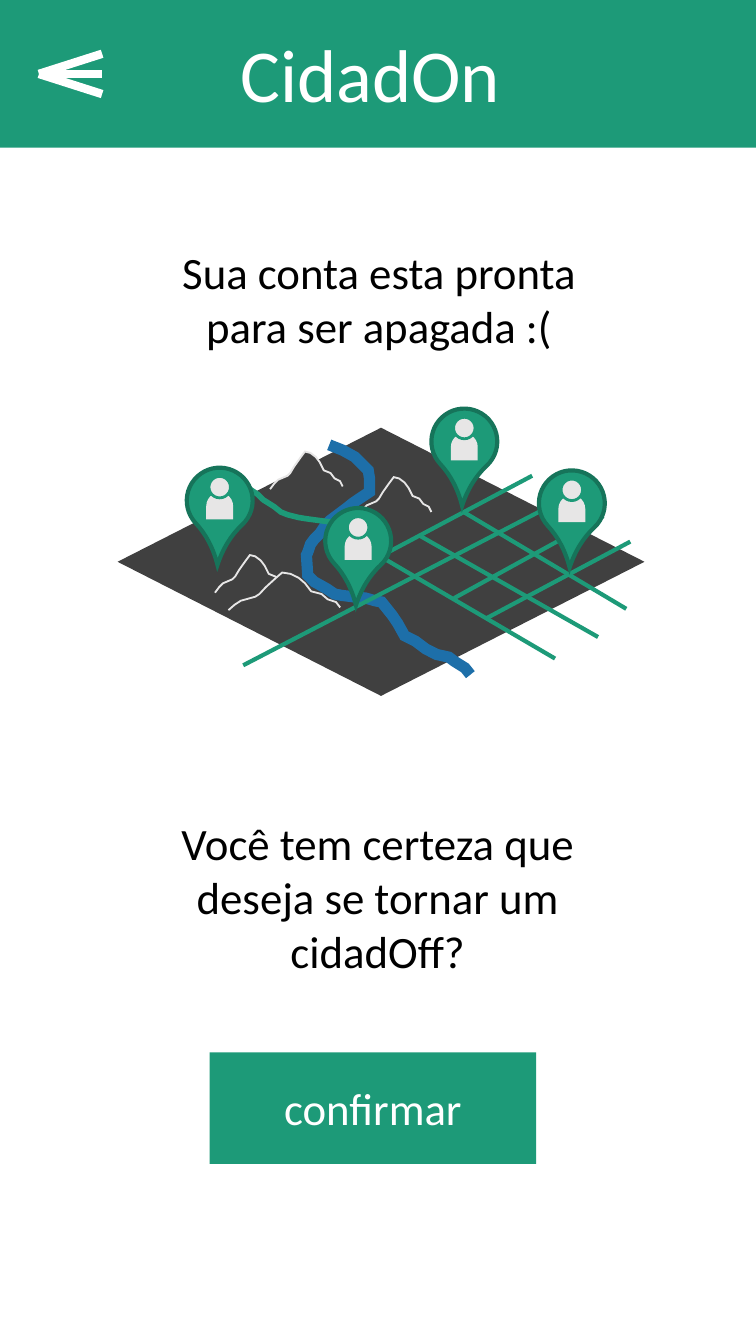
from dataclasses import dataclass

from lxml import etree
from pptx import Presentation
from pptx import util as u
from pptx.dml.color import RGBColor
from pptx.enum import shapes, text
from pptx.oxml import ns

COLUMNS, ROWS = 56.25, 100  # square grid cells
CELL = u.Inches(0.1)


@dataclass(frozen=True)
class Theme:
    green: str = "1D9A78"
    dark_green: str = "16745A"
    ground: str = "404040"
    river: str = "1D6FA9"
    pale: str = "E7E6E6"
    white: str = "FFFFFF"
    black: str = "000000"
    font: str = "Calibri"
    title_size: int = 40
    body_size: int = 24


THEME = Theme()
KIND = shapes.MSO_SHAPE
CENTER = text.PP_ALIGN.CENTER

STREETS = [
    ((28.3, 41.4), (41.3, 49)), ((31.3, 39.9), (44.5, 47.4)),
    ((34.5, 38.1), (46.6, 45.3)), ((44.9, 38.4), (33.8, 44.5)),
    ((42, 37.1), (18.1, 49.5)), ((46.9, 40.3), (36.2, 46)),
    ((39.6, 35.4), (28.3, 41.4)),
]
RIVER = [
    (24.5, 33.1), (25.5, 33.5), (26.4, 34), (27, 34.6), (27.4, 35), (27.5, 35.6),
    (27.5, 36.6), (27.2, 36.8), (26.3, 37.4), (25.8, 37.8), (25, 38.4), (24.6, 38.7),
    (24.2, 39.1), (23.8, 39.7), (23.4, 40.1), (23.1, 40.5), (22.9, 41.1), (22.8, 41.3),
    (22.9, 42.8), (23.4, 43.3), (24.3, 43.8), (24.9, 44.2), (25.4, 44.3), (26.2, 44.4),
    (27.2, 44.5), (27.9, 44.7), (28.4, 44.8), (28.8, 45.3), (29.2, 45.8), (29.6, 46.4),
    (30.1, 47.3), (30.9, 47.7), (31.7, 48.3), (32.5, 48.7), (33.4, 48.9), (33.8, 49.2),
    (34.6, 49.7), (35, 50.2),
]
TRAIL = [
    (28.5, 41.5), (27.4, 41.2), (26.8, 41), (26.5, 40.5), (26.2, 40), (26, 39.4),
    (25.6, 39.2), (24.9, 38.9), (24.3, 38.8), (22.8, 38.6), (22.2, 38.5), (21.4, 38.3),
    (20.9, 38.1), (20.4, 37.7), (19.6, 37.2), (19.2, 36.8), (18.6, 36.4), (18.2, 36.1),
    (17.7, 36),
]
# Mountain ridge as offsets from its left foot
RIDGE = [
    (0, 0), (0.3, -0.4), (0.6, -0.7), (1.3, -1), (1.5, -1.2), (1.8, -1.7),
    (2.3, -2.4), (2.6, -2.8), (3, -2.7), (3.4, -2.4), (3.7, -2), (4, -1.4),
    (4.5, -1.2), (4.8, -0.8), (5.2, -0.6), (5.4, -0.2),
]
# Left foot and horizontal stretch of each mountain
MOUNTAINS = [(26.7, 38.3, 1), (20.1, 36.4, 1), (16, 44.1, 1), (17, 45.4, 1.54)]
PINS = [(40.1, 35), (24.2, 37.8), (13.9, 34.8), (32.1, 30.4)]


def cells(*values):
    return [u.Emu(round(value * CELL)) for value in values]


def set_line(line, color, width):
    line.color.rgb = RGBColor.from_string(color)
    line.width = u.Pt(width)


def sharpen_corners(shape):
    outline = shape._element.spPr.find(ns.qn("a:ln"))
    etree.SubElement(outline, ns.qn("a:miter"), lim="800000")


def paint(shape, fill=None, line=None, width=1):
    shape.shadow.inherit = False
    if fill:
        shape.fill.solid()
        shape.fill.fore_color.rgb = RGBColor.from_string(fill)
    else:
        shape.fill.background()
    if line:
        set_line(shape.line, line, width)
        sharpen_corners(shape)
    else:
        shape.line.fill.background()


def add_block(parent, kind, box, fill, line=None, width=1, rotation=0):
    shape = parent.add_shape(kind, *cells(*box))
    paint(shape, fill, line, width)
    shape.rotation = rotation
    return shape


def add_stroke(parent, start, end, color, width):
    connector = parent.add_connector(shapes.MSO_CONNECTOR.STRAIGHT, *cells(*start, *end))
    set_line(connector.line, color, width)
    etree.SubElement(connector._element.spPr, ns.qn("a:effectLst"))


def add_curve(parent, points, color, width, fill=None):
    start, *rest = [cells(*point) for point in points]
    builder = parent.build_freeform(*start)
    builder.add_line_segments(rest, close=False)
    paint(builder.convert_to_shape(), fill, color, width)


def write(shape, words, size, color, align=None):
    frame = shape.text_frame
    frame.word_wrap = True
    paragraph = frame.paragraphs[0]
    paragraph.alignment = align
    run = paragraph.add_run()
    run.text = words
    run.font.name = THEME.font
    run.font.size = u.Pt(size)
    run.font.color.rgb = RGBColor.from_string(color)


def add_label(parent, box, words, size, color, align=None):
    write(parent.add_textbox(*cells(*box)), words, size, color, align)


def add_pin(parent, left, top):
    marker = add_block(parent, KIND.TEAR, (left, top, 4.9, 4.9),
                       THEME.green, THEME.dark_green, 2.25, 137)
    marker.adjustments[0] = 1.38
    add_block(parent, KIND.FLOWCHART_DELAY, (left + 1.45, top + 1.85, 2, 2),
              THEME.pale, rotation=270)
    add_block(parent, KIND.OVAL, (left + 1.65, top + 0.65, 1.6, 1.6),
              THEME.pale, THEME.green, 1.5)


def add_header(slide):
    add_block(slide.shapes, KIND.RECTANGLE, (0, 0, COLUMNS, 11), THEME.green)
    add_label(slide.shapes, (16.9, 1.6, 22.4, 7.7), "CidadOn",
              THEME.title_size, THEME.white)
    arrow = slide.shapes.add_group_shape().shapes
    for end_row in (4, 5.5, 7):
        add_stroke(arrow, (2.9, 5.5), (7.6, end_row), THEME.white, 4.5)


def add_map(slide):
    city = slide.shapes.add_group_shape().shapes
    add_block(city, KIND.FLOWCHART_DECISION, (8.9, 31.9, 38.9, 19.8),
              THEME.ground, THEME.ground)
    add_curve(city, RIVER, THEME.river, 6)
    for start, end in STREETS:
        add_stroke(city, start, end, THEME.green, 2.25)
    add_curve(city, TRAIL, THEME.green, 3)
    for left, foot, stretch in MOUNTAINS:
        ridge = [(left + x * stretch, foot + y) for x, y in RIDGE]
        add_curve(city, ridge, THEME.pale, 1, THEME.ground)
    for left, top in PINS:
        add_pin(city, left, top)


def main():
    presentation = Presentation()
    presentation.slide_width, presentation.slide_height = cells(COLUMNS, ROWS)
    slide = presentation.slides.add_slide(presentation.slide_layouts[6])

    add_header(slide)
    add_map(slide)

    # Messages above and below the map
    add_label(slide.shapes, (10.4, 17.7, 35.6, 9.1),
              "Sua conta esta pronta para ser apagada :(",
              THEME.body_size, THEME.black, CENTER)
    add_label(slide.shapes, (10.3, 60.2, 35.6, 13.1),
              "Você tem certeza que deseja se tornar um cidadOff?",
              THEME.body_size, THEME.black, CENTER)

    # Confirmation button
    button = add_block(slide.shapes, KIND.RECTANGLE, (15.6, 78.3, 24.3, 8.3), THEME.green)
    button.text_frame.vertical_anchor = text.MSO_ANCHOR.MIDDLE
    write(button, "confirmar", THEME.body_size, THEME.white, CENTER)

    presentation.save("out.pptx")


if __name__ == "__main__":
    main()
